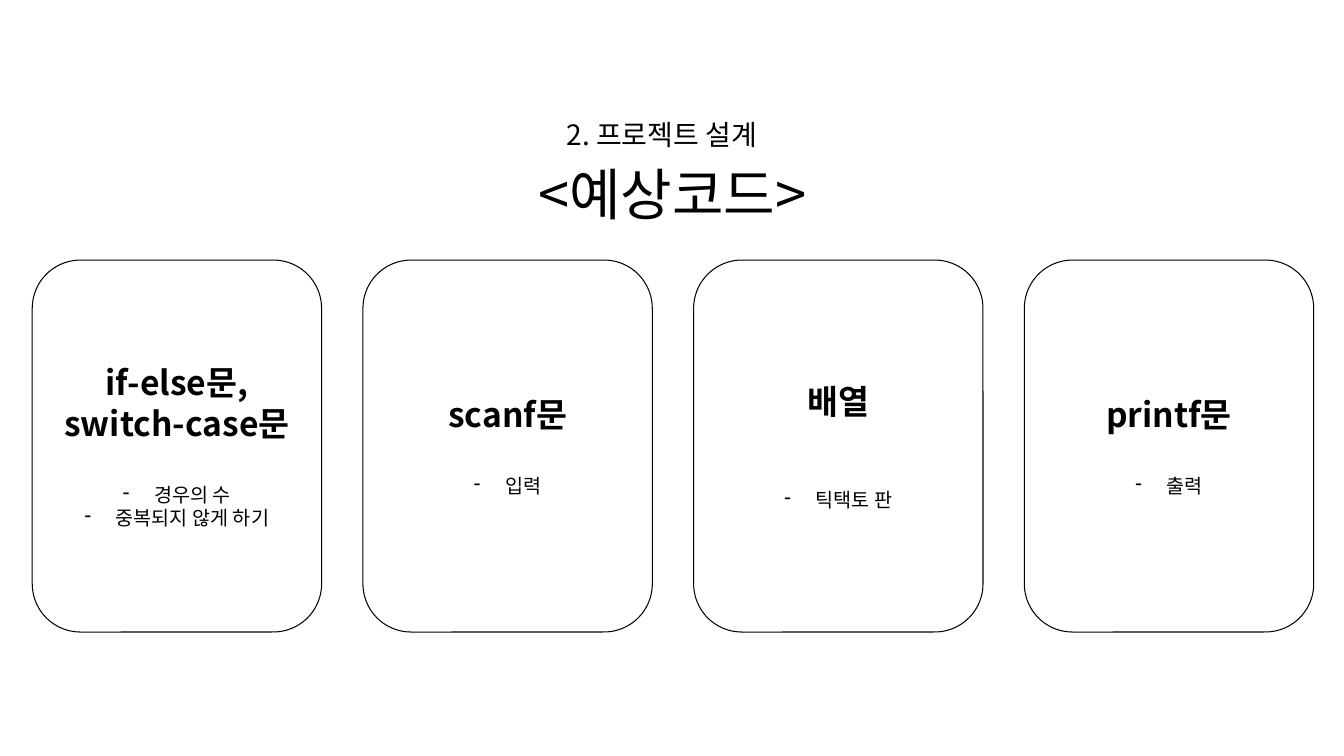
from dataclasses import dataclass

from lxml import etree
from pptx import Presentation
from pptx import util as u
from pptx.dml.color import RGBColor
from pptx.enum import shapes, text
from pptx.oxml import ns


@dataclass(frozen=True)
class Theme:
    font: str = "Noto Sans CJK KR"
    ink: RGBColor = RGBColor(0, 0, 0)
    title: int = 40
    section: int = 20
    heading: int = 24
    body: int = 14
    outline: float = 0.75


THEME = Theme()
NORMAL_GAP, WIDE_GAP = 28.5, 47.5
CARDS = [
    ("if-else문, switch-case문", ["경우의 수", "중복되지 않게 하기"], NORMAL_GAP),
    ("scanf문", ["입력"], NORMAL_GAP),
    ("배열", ["틱택토 판"], WIDE_GAP),
    ("printf문", ["출력"], NORMAL_GAP),
]


def write(para, content, size, bold=False, align=text.PP_ALIGN.CENTER):
    para.text = content
    para.alignment = align
    for span in para.runs:
        span.font.name = THEME.font
        span.font.size = u.Pt(size)
        span.font.bold = bold
        span.font.color.rgb = THEME.ink
        east_asian = etree.SubElement(span.font._element, ns.qn("a:ea"))
        east_asian.set("typeface", THEME.font)


def add_dash(para):
    properties = para._p.get_or_add_pPr()
    indent = u.Inches(0.31)
    properties.set("marL", str(indent))
    properties.set("indent", str(-indent))
    etree.SubElement(properties, ns.qn("a:buFontTx"))
    etree.SubElement(properties, ns.qn("a:buChar")).set("char", "-")


def add_header(page, left, top, width):
    title = page.shapes.add_textbox(
        u.Inches(left), u.Inches(top + 0.11), u.Inches(width), u.Inches(1.45))
    frame = title.text_frame
    frame.word_wrap = True
    frame.vertical_anchor = text.MSO_ANCHOR.MIDDLE
    write(frame.paragraphs[0], "<예상코드>", THEME.title)
    frame.paragraphs[0].line_spacing = 0.9

    section = page.shapes.add_textbox(
        u.Inches(left + 2.69), u.Inches(top), u.Inches(2.3), u.Inches(0.44))
    frame = section.text_frame
    frame.word_wrap = False
    frame.auto_size = text.MSO_AUTO_SIZE.SHAPE_TO_FIT_TEXT
    write(frame.paragraphs[0], "2. 프로젝트 설계", THEME.section,
          align=text.PP_ALIGN.LEFT)


def add_card(page, left, top, width, height, heading, points, gap):
    card = page.shapes.add_shape(
        shapes.MSO_SHAPE.ROUNDED_RECTANGLE,
        u.Inches(left), u.Inches(top), u.Inches(width), u.Inches(height))
    card.shadow.inherit = False
    card.fill.background()
    card.line.color.rgb = THEME.ink
    card.line.width = u.Pt(THEME.outline)
    frame = card.text_frame
    frame.word_wrap = True
    frame.vertical_anchor = text.MSO_ANCHOR.MIDDLE
    write(frame.paragraphs[0], heading, THEME.heading, bold=True)
    frame.paragraphs[0].space_after = u.Pt(gap)
    for point in points:
        para = frame.add_paragraph()
        write(para, point, THEME.body)
        add_dash(para)


def add_card_row(page, left, top, width, height, gutter):
    card_width = (width - gutter * (len(CARDS) - 1)) / len(CARDS)
    for index, card in enumerate(CARDS):
        card_left = left + index * (card_width + gutter)
        add_card(page, card_left, top, card_width, height, *card)


def main():
    deck = Presentation()
    deck.slide_width = u.Inches(13.33)
    deck.slide_height = u.Inches(7.5)
    page = deck.slides.add_slide(deck.slide_layouts[6])
    add_header(page, left=2.83, top=1.12, width=7.68)
    add_card_row(page, left=0.32, top=2.58, width=12.71, height=3.69, gutter=0.41)
    deck.save("out.pptx")


if __name__ == "__main__":
    main()
